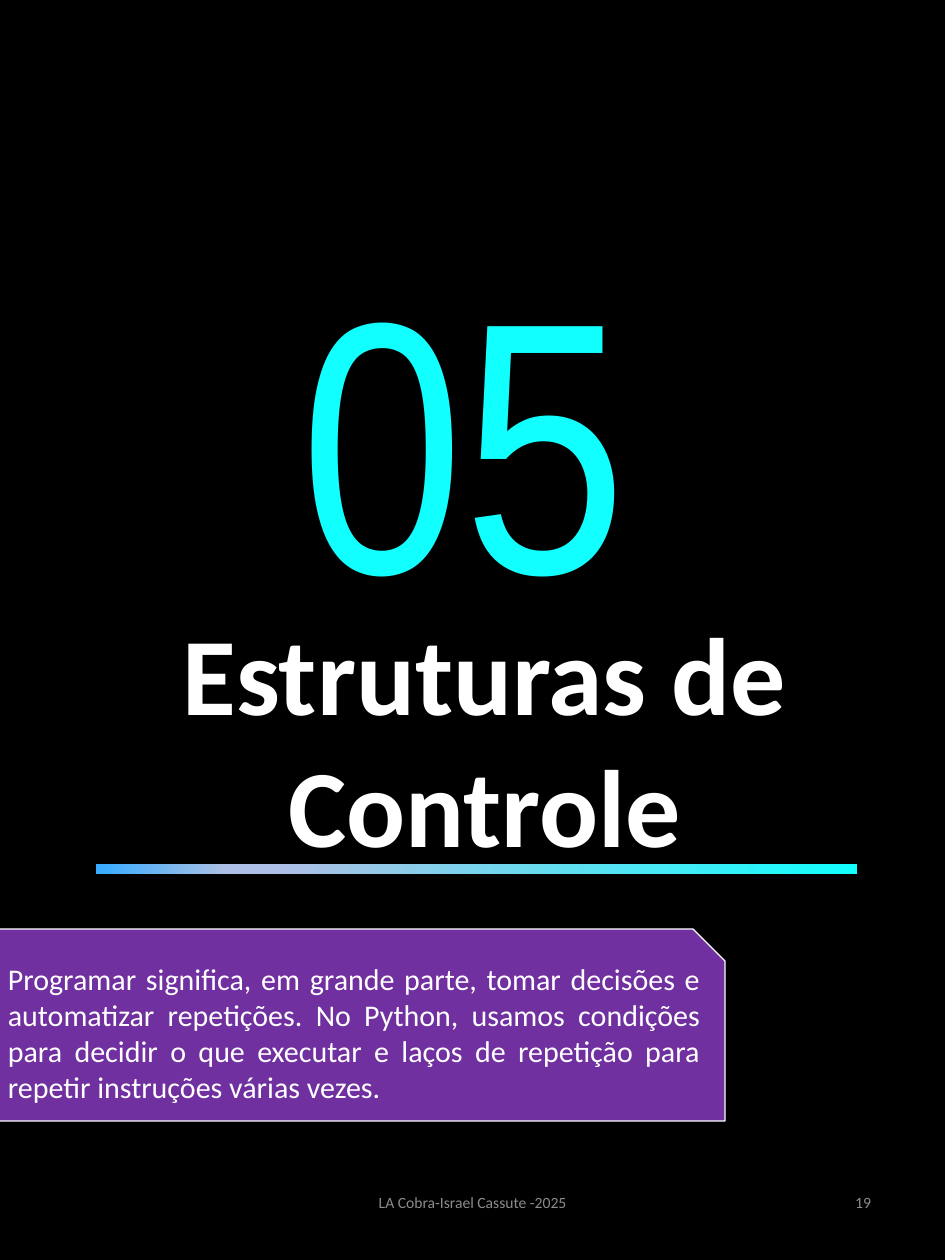
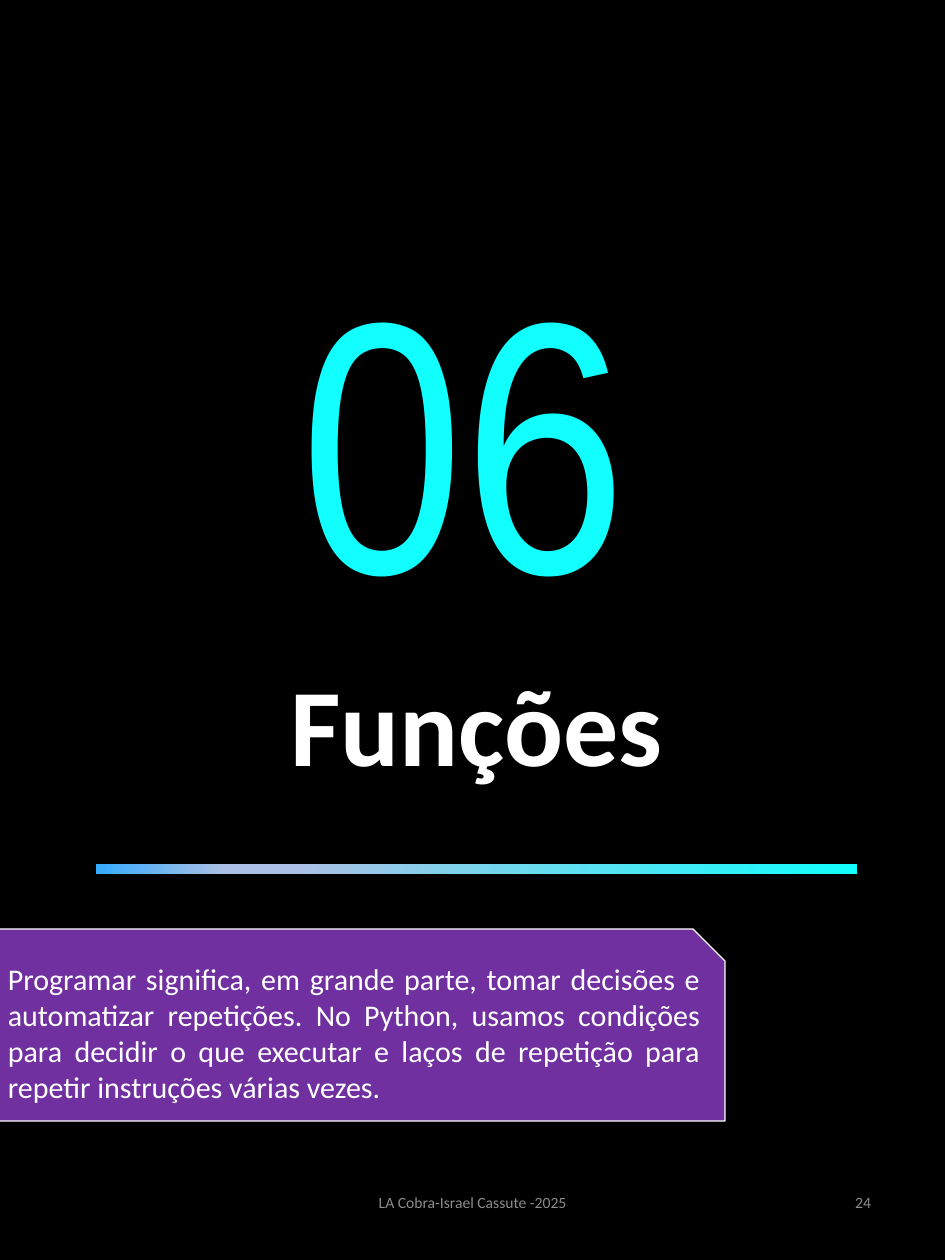
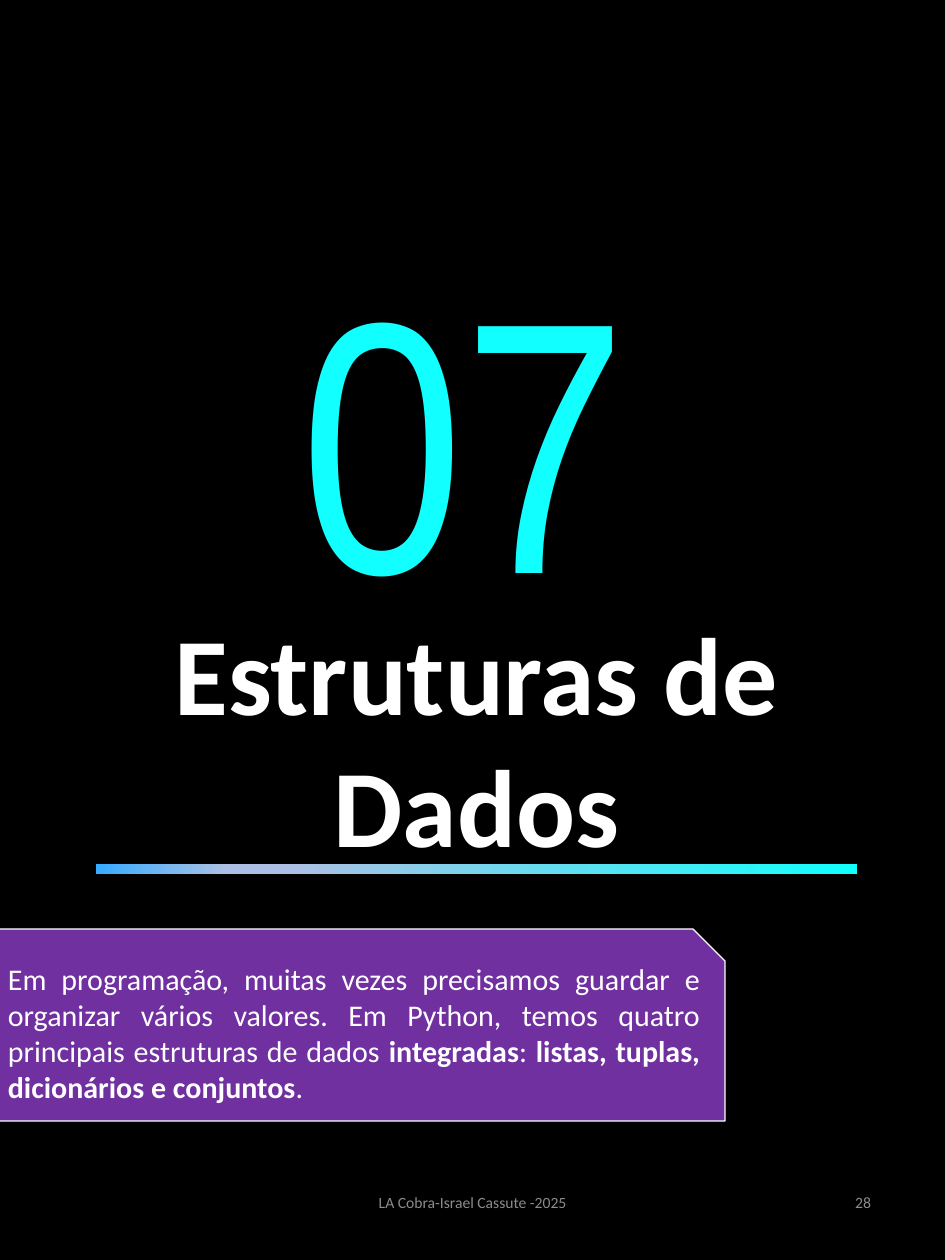
import lxml.etree
import pptx
import pptx.dml.color
import pptx.enum.shapes
import pptx.enum.text
import pptx.oxml.ns
import pptx.util

SHAPE = pptx.enum.shapes.MSO_SHAPE
ALIGN = pptx.enum.text.PP_ALIGN
ANCHOR = pptx.enum.text.MSO_ANCHOR
GROW = pptx.enum.text.MSO_AUTO_SIZE.SHAPE_TO_FIT_TEXT
qn = pptx.oxml.ns.qn

PX = 914400 // 90
PAGE_WIDTH, PAGE_HEIGHT = 945, 1260
COLORS = {
    "page": "000000",
    "text": "FFFFFF",
    "number": "11FFFE",
    "panel": "7030A0",
    "footer": "8C8C8C",
    "bar_middle": "ABC0E4",
    "bar_end": "36ABFF",
}
BAR_STOPS = [(0, "number"), (74, "bar_middle"), (83, "bar_middle"), (100, "bar_end")]
FOOTER = "LA Cobra-Israel Cassute -2025"
DECISIONS = [
    ("Programar significa, em grande parte, tomar decisões e automatizar repetições. "
     "No Python, usamos condições para decidir o que executar e laços de repetição "
     "para repetir instruções várias vezes.", False),
]
STRUCTURES = [
    ("Em programação, muitas vezes precisamos guardar e organizar vários valores. "
     "Em Python, temos quatro principais estruturas de dados ", False),
    ("integradas", True),
    (": ", False),
    ("listas, tuplas, dicionários e conjuntos", True),
    (".", False),
]
# number, title, title box, introduction, page
CHAPTERS = [
    ("05", "Estruturas de Controle", (-1, 601, 971, 275), DECISIONS, "19"),
    ("06", "Funções", (-9, 652, 971, 142), DECISIONS, "24"),
    ("07", "Estruturas de Dados", (28, 601, 897, 275), STRUCTURES, "28"),
]


def rgb(color):
    return pptx.dml.color.RGBColor.from_string(COLORS[color])


def emu(box):
    return [length * PX for length in box]


class ChapterDeck:
    def __init__(self):
        self.deck = pptx.Presentation()
        self.deck.slide_width = PAGE_WIDTH * PX
        self.deck.slide_height = PAGE_HEIGHT * PX
        self.slide = None

    def new_slide(self):
        """Start a title-only slide on a black page."""
        self.slide = self.deck.slides.add_slide(self.deck.slide_layouts[5])
        page = self.block(SHAPE.RECTANGLE, (0, 0, PAGE_WIDTH, PAGE_HEIGHT), "page")
        page.element.getparent().insert(2, page.element)

    def block(self, kind, box, color):
        shape = self.slide.shapes.add_shape(kind, *emu(box))
        shape.shadow.inherit = False
        shape.fill.solid()
        shape.fill.fore_color.rgb = rgb(color)
        shape.line.fill.background()
        return shape

    def set_text(self, shape, parts, size, color, align, anchor, font="Calibri"):
        """Fill a shape with one paragraph made of (text, bold) parts."""
        frame = shape.text_frame
        frame.word_wrap = True
        frame.vertical_anchor = anchor
        paragraph = frame.paragraphs[0]
        paragraph.alignment = align
        paragraph.font.name = font
        paragraph.font.size = pptx.util.Pt(size)
        paragraph.font.color.rgb = rgb(color)
        same_weight = len({bold for _, bold in parts}) == 1
        if same_weight:
            paragraph.font.bold = parts[0][1]
        for text, bold in parts:
            run = paragraph.add_run()
            run.text = text
            if not same_weight:
                run.font.bold = bold

    def label(self, text, box, size, color, align, anchor=ANCHOR.MIDDLE, font="Calibri"):
        shape = self.slide.shapes.add_textbox(*emu(box))
        self.set_text(shape, [(text, False)], size, color, align, anchor, font)
        return shape

    def title(self, text, box):
        title = self.slide.shapes.title
        title.left, title.top, title.width, title.height = emu(box)
        self.set_text(title, [(text, True)], 88, "text", ALIGN.CENTER, ANCHOR.TOP)
        title.text_frame.auto_size = GROW

    def number(self, text):
        number = self.label(text, (79, 210, 770, 444), 287, "number",
                            ALIGN.CENTER, ANCHOR.TOP, "Arial Narrow")
        number.text_frame.auto_size = GROW
        run = number.text_frame.paragraphs[0].runs[0]
        outline = lxml.etree.Element(qn("a:ln"), w=str(pptx.util.Pt(0.75)))
        fill = lxml.etree.SubElement(outline, qn("a:solidFill"))
        lxml.etree.SubElement(fill, qn("a:srgbClr"), val=COLORS["number"])
        run._r.get_or_add_rPr().insert(0, outline)

    def gradient_bar(self):
        bar = self.block(SHAPE.RECTANGLE, (96, 864, 761, 10), "number")
        bar.fill.gradient()
        bar.fill.gradient_angle = 180
        stops = bar.element.find(".//" + qn("a:gsLst"))
        for stop in list(stops):
            stops.remove(stop)
        for percent, color in BAR_STOPS:
            stop = lxml.etree.SubElement(stops, qn("a:gs"), pos=str(percent * 1000))
            lxml.etree.SubElement(stop, qn("a:srgbClr"), val=COLORS[color])

    def introduction(self, parts):
        panel = self.block(SHAPE.SNIP_1_RECTANGLE, (-1, 929, 726, 192), "panel")
        panel.line.color.rgb = rgb("text")
        panel.line.width = pptx.util.Pt(1)
        self.set_text(panel, parts, 24, "text", ALIGN.JUSTIFY, ANCHOR.MIDDLE)

    def footer(self, page):
        self.label(page, (668, 1168, 212, 68), 12.6, "footer", ALIGN.RIGHT)
        self.label(FOOTER, (313, 1168, 319, 68), 12.5, "footer", ALIGN.CENTER)


def main():
    book = ChapterDeck()
    for number, title, title_box, introduction, page in CHAPTERS:
        book.new_slide()
        book.title(title, title_box)
        book.number(number)
        book.gradient_bar()
        book.footer(page)
        book.introduction(introduction)
    book.deck.save("out.pptx")


if __name__ == "__main__":
    main()
